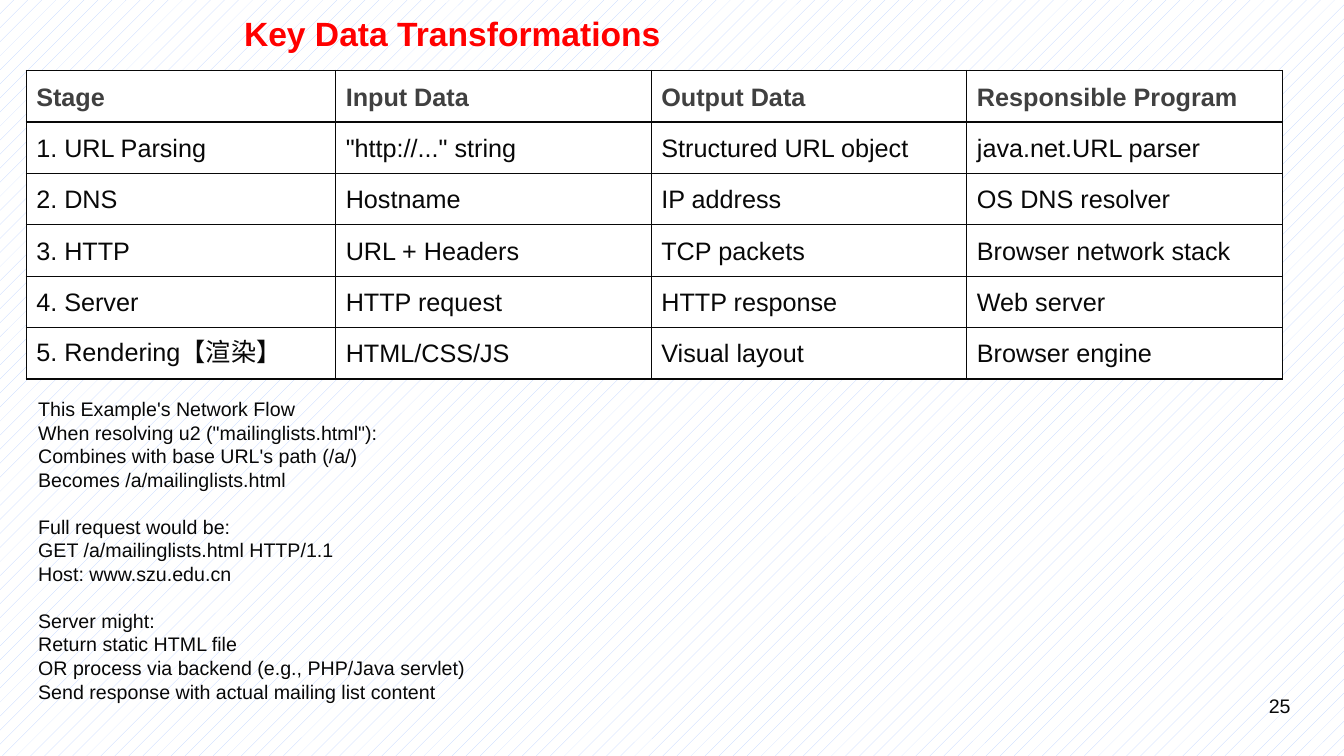
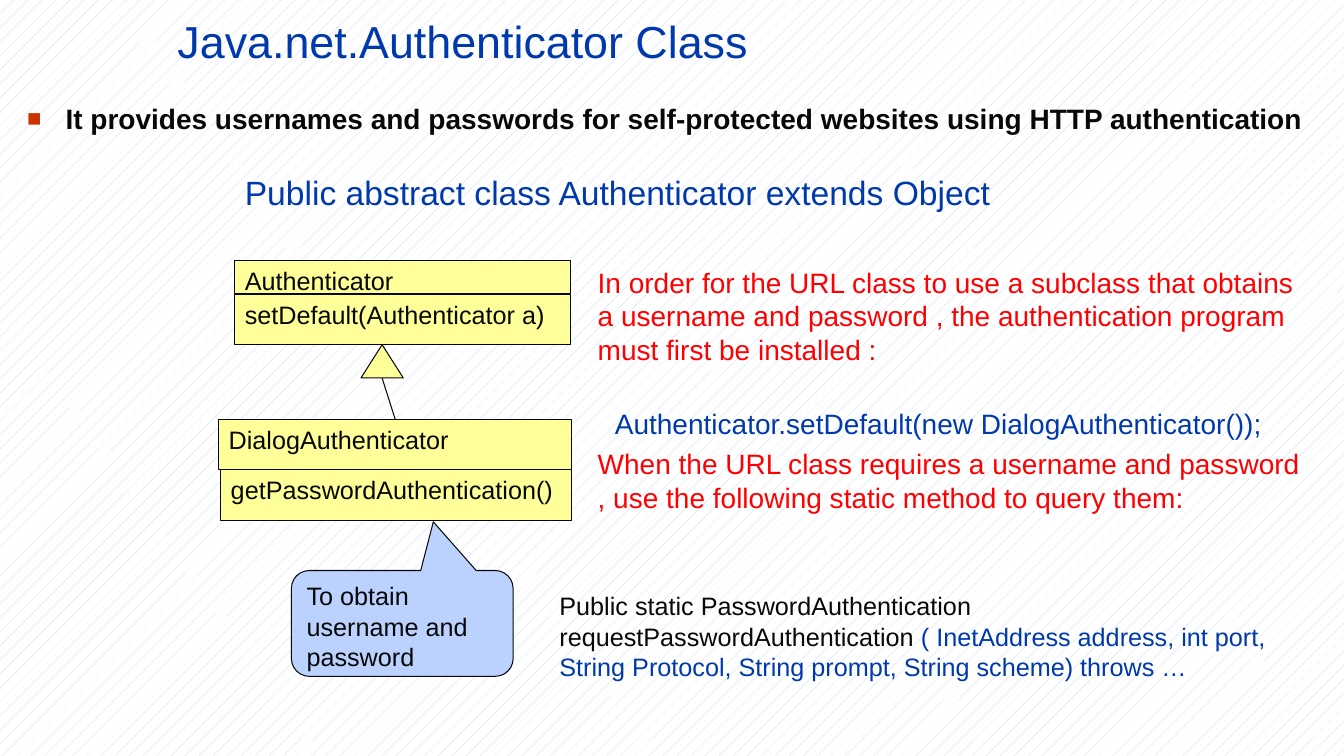
from lxml import etree
from pptx import Presentation
from pptx import util as u
from pptx.dml.color import RGBColor
from pptx.enum import dml, shapes, text
from pptx.oxml.ns import qn

FONT = "Arial"
INK, GREY, RED, BLUE = "080808", "404040", "FF0000", "0039AC"
YELLOW, PALE, WHITE, RUST = "FFFF99", "BBD2FF", "FFFFFF", "CC3300"
LEADING = 1.2

STAGES = [
    ("Stage", "Input Data", "Output Data", "Responsible Program"),
    ("1. URL Parsing", '"http://..." string', "Structured URL object", "java.net.URL parser"),
    ("2. DNS", "Hostname", "IP address", "OS DNS resolver"),
    ("3. HTTP", "URL + Headers", "TCP packets", "Browser network stack"),
    ("4. Server", "HTTP request", "HTTP response", "Web server"),
    ("5. Rendering【渲染】", "HTML/CSS/JS", "Visual layout", "Browser engine"),
]
STAGE_WIDTHS = (3.07, 3.13, 3.13, 3.13)
ROW_HEIGHT = 0.51

FLOW = [
    ("This Example's Network Flow",
     'When resolving u2 ("mailinglists.html"):',
     "Combines with base URL's path (/a/)",
     "Becomes /a/mailinglists.html"),
    ("Full request would be:",
     "GET /a/mailinglists.html HTTP/1.1",
     "Host: www.szu.edu.cn"),
    ("Server might:",
     "Return static HTML file",
     "OR process via backend (e.g., PHP/Java servlet)",
     "Send response with actual mailing list content"),
]

CLASS_BOXES = [
    ("Authenticator", (2.33, 2.58, 3.33, 0.33)),
    ("setDefault(Authenticator a)", (2.33, 2.92, 3.33, 0.5)),
    ("DialogAuthenticator", (2.17, 4.16, 3.5, 0.5)),
    ("getPasswordAuthentication()", (2.19, 4.66, 3.48, 0.5)),
]

INSTALL = ("In order for the URL class to use a subclass that obtains a username and password , "
           "the authentication program must first be installed :")
QUERY = ("When the URL class requires a username and password , "
         "use the following static method to query them:")
SIGNATURE = [
    ("Public static PasswordAuthentication requestPasswordAuthentication ", INK),
    ("( InetAddress address, int port, String Protocol, String prompt, String scheme) throws …", BLUE),
]


def rgb(value):
    return RGBColor.from_string(value)


def inches(box):
    return [u.Inches(v) for v in box]


def place(sp, box):
    sp.left, sp.top, sp.width, sp.height = inches(box)


def write(tf, paragraphs, size, bold=False, align=text.PP_ALIGN.LEFT):
    for i, (runs, before) in enumerate(paragraphs):
        p = tf.add_paragraph() if i else tf.paragraphs[0]
        p.alignment = align
        p.line_spacing = u.Pt(size * LEADING)
        p.space_before = u.Pt(before)
        for words, colour in runs:
            r = p.add_run()
            r.text = words
            r.font.name, r.font.size, r.font.bold = FONT, u.Pt(size), bold
            r.font.color.rgb = rgb(colour)


def line(words, colour=INK, before=0):
    return [(words, colour)], before


def frame(sp, anchor=text.MSO_ANCHOR.TOP):
    tf = sp.text_frame
    tf.word_wrap = True
    tf.auto_size = text.MSO_AUTO_SIZE.NONE
    tf.vertical_anchor = anchor
    return tf


def add_text(s, box, paragraphs, size, **style):
    write(frame(s.shapes.add_textbox(*inches(box))), paragraphs, size, **style)


def set_title(s, box, words, colour, size, bold=False):
    place(s.shapes.title, box)
    write(frame(s.shapes.title, text.MSO_ANCHOR.MIDDLE), [line(words, colour)], size, bold)


def add_shape(s, kind, box, fill, words=None):
    sp = s.shapes.add_shape(kind, *inches(box))
    sp.shadow.inherit = False
    sp.fill.solid()
    sp.fill.fore_color.rgb = rgb(fill)
    sp.line.color.rgb = rgb(INK)
    sp.line.width = u.Pt(0.75)
    if words:
        write(frame(sp), [line(words)], 18)
    return sp


def add_bullet(p):
    pPr = p._p.get_or_add_pPr()
    pPr.set("marL", str(u.Inches(0.38)))
    pPr.set("indent", str(-u.Inches(0.38)))
    clr = etree.SubElement(pPr, qn("a:buClr"))
    etree.SubElement(clr, qn("a:srgbClr"), val=RUST)
    etree.SubElement(pPr, qn("a:buSzPct"), val="85000")
    etree.SubElement(pPr, qn("a:buFont"), typeface=FONT)
    etree.SubElement(pPr, qn("a:buChar"), char="■")


def add_borders(cell):
    tcPr = cell._tc.get_or_add_tcPr()
    for side in ("lnL", "lnR", "lnT", "lnB"):
        ln = etree.SubElement(tcPr, qn("a:" + side), w=str(u.Pt(1)))
        fill = etree.SubElement(ln, qn("a:solidFill"))
        etree.SubElement(fill, qn("a:srgbClr"), val=INK)


def add_stage_table(s):
    box = (0.26, 0.7, sum(STAGE_WIDTHS), ROW_HEIGHT * len(STAGES))
    table = s.shapes.add_table(len(STAGES), len(STAGE_WIDTHS), *inches(box)).table
    table.first_row = table.horz_banding = False
    for column, width in zip(table.columns, STAGE_WIDTHS):
        column.width = u.Inches(width)
    for i, row in enumerate(STAGES):
        table.rows[i].height = u.Inches(ROW_HEIGHT)
        for j, words in enumerate(row):
            cell = table.cell(i, j)
            add_borders(cell)
            cell.fill.solid()
            cell.fill.fore_color.rgb = rgb(WHITE)
            cell.vertical_anchor = text.MSO_ANCHOR.MIDDLE
            cell.margin_left = cell.margin_right = u.Inches(0.1)
            cell.margin_top = cell.margin_bottom = u.Inches(0.1)
            header = i == 0
            write(cell.text_frame, [line(words, GREY if header else INK)], 18, header)


def build_transformations(prs):
    s = prs.slides.add_slide(prs.slide_layouts[5])
    set_title(s, (2.32, 0.08, 4.5, 0.5), "Key Data Transformations", RED, 24, True)
    add_text(s, (9.56, 6.83, 3.34, 0.52), [line("25")], 14, align=text.PP_ALIGN.RIGHT)
    flow = [line(words, INK, 14 * LEADING if i and not j else 0)
            for i, group in enumerate(FLOW) for j, words in enumerate(group)]
    add_text(s, (0.28, 3.89, 12.42, 3.17), flow, 14)
    add_stage_table(s)


def build_authenticator(prs):
    s = prs.slides.add_slide(prs.slide_layouts[1])
    set_title(s, (1.66, 0.07, 9.34, 0.66), "Java.net.Authenticator Class", BLUE, 32)

    body = s.placeholders[1]
    place(body, (0.17, 0.96, 13.08, 0.56))
    tf = frame(body)
    add_bullet(tf.paragraphs[0])
    write(tf, [line("It provides usernames and passwords for self-protected websites "
                    "using HTTP authentication")], 20, True)

    add_text(s, (2.33, 1.66, 8, 0.51),
             [line("Public abstract class Authenticator extends Object", BLUE)], 24)

    boxes = {words: add_shape(s, shapes.MSO_SHAPE.RECTANGLE, box, YELLOW, words)
             for words, box in CLASS_BOXES}
    add_shape(s, shapes.MSO_SHAPE.ISOSCELES_TRIANGLE, (3.58, 3.42, 0.42, 0.33), YELLOW)
    link = s.shapes.add_connector(shapes.MSO_CONNECTOR.STRAIGHT, *inches((3.79, 3.75, 3.92, 4.16)))
    link.end_connect(boxes["DialogAuthenticator"], 0)
    link.line.color.rgb = rgb(INK)
    link.line.width = u.Pt(0.75)
    etree.SubElement(link._element.spPr, qn("a:effectLst"))

    callout = add_shape(s, shapes.MSO_SHAPE.ROUNDED_RECTANGULAR_CALLOUT, (2.89, 5.66, 2.2, 1.05),
                        PALE, "To obtain username and password")
    for i, value in enumerate((0.14, -0.96, 0.17)):
        callout.adjustments[i] = value

    add_text(s, (5.83, 2.58, 7.17, 2.59),
             [line(INSTALL, RED), line(QUERY, RED, 2 * 24 * LEADING)], 20)
    add_text(s, (6, 3.98, 7.17, 0.44),
             [line("Authenticator.setDefault(new DialogAuthenticator());", BLUE)], 20)
    add_text(s, (5.45, 5.81, 7.58, 1.01), [(SIGNATURE, 0)], 18)


def main():
    prs = Presentation()
    prs.slide_width, prs.slide_height = inches((13.33, 7.5))
    fill = prs.slide_master.background.fill
    fill.patterned()
    fill.pattern = dml.MSO_PATTERN.PERCENT_5
    fill.fore_color.rgb, fill.back_color.rgb = rgb(PALE), rgb(WHITE)
    build_transformations(prs)
    build_authenticator(prs)
    prs.save("out.pptx")


if __name__ == "__main__":
    main()
